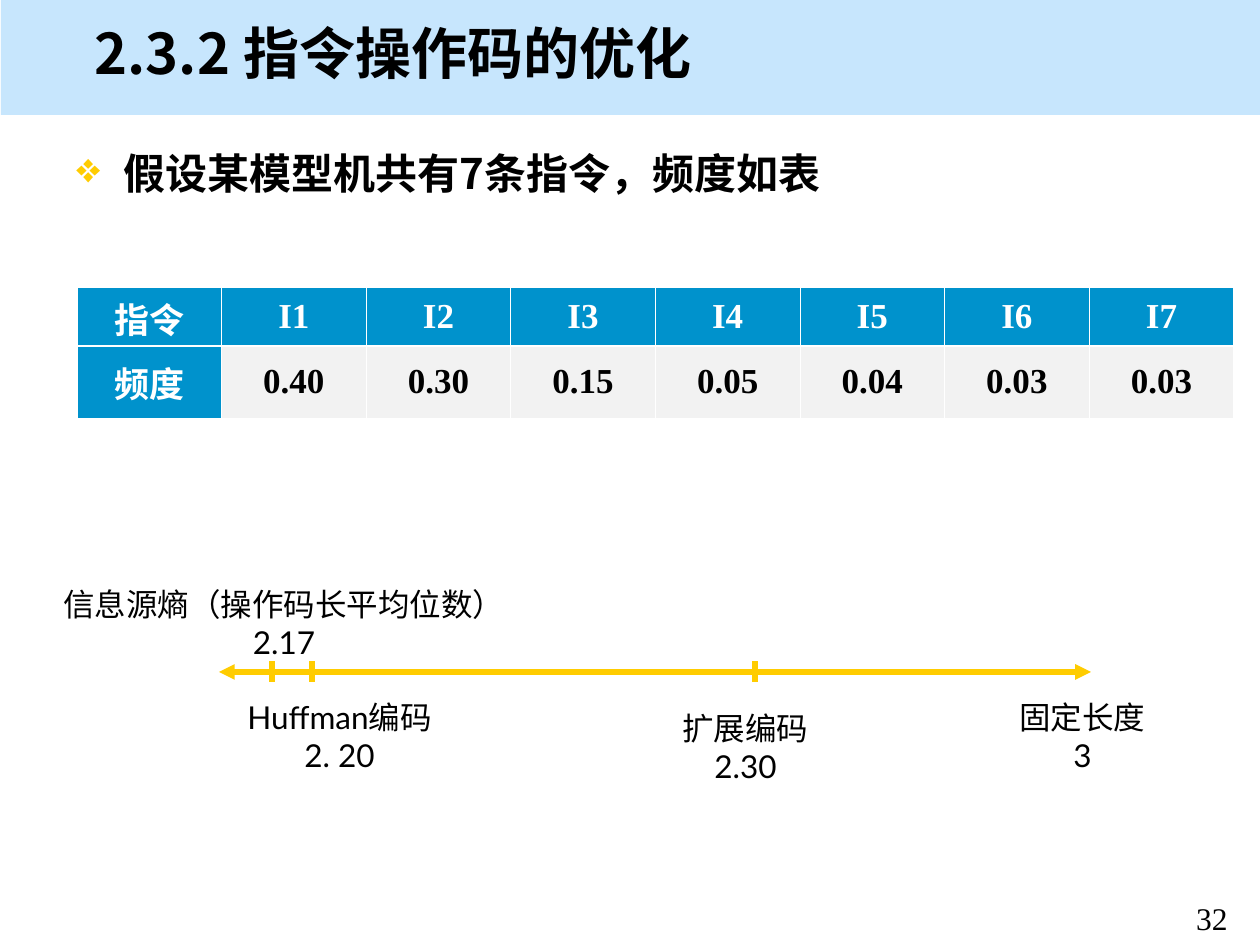
from lxml import etree
from pptx import Presentation, util as u
from pptx.dml.color import RGBColor
from pptx.enum import shapes, text
from pptx.oxml import ns

PX = 914400 / 126
HUES = {"band": "C7E6FD", "ink": "000000", "gold": "FFCC00",
        "blue": "0092CC", "grey": "F2F2F2", "white": "FFFFFF"}
SANS, SERIF, LATO = "Noto Sans CJK SC", "Times New Roman", "Lato"
MID, LEFT = text.PP_ALIGN.CENTER, text.PP_ALIGN.LEFT


def px(*nums):
    """Turn px lengths into EMU."""
    return [u.Emu(round(n * PX)) for n in nums]


def hue(name):
    """Look up a colour by name."""
    return RGBColor.from_string(HUES[name])


def node(up, tag, **atts):
    """Add a DrawingML child element."""
    return etree.SubElement(up, ns.qn("a:" + tag), atts)


def write(frame, lines, size, face, align=MID, bold=False, ink="ink"):
    """Fill a text frame with one formatted run per line."""
    form = {"size": u.Pt(size), "name": face, "bold": bold}
    for i, line in enumerate(lines):
        para = frame.add_paragraph() if i else frame.paragraphs[0]
        para.alignment = align
        run = para.add_run()
        run.text = line
        for key, val in form.items():
            setattr(run.font, key, val)
        run.font.color.rgb = hue(ink)
        node(run._r.get_or_add_rPr(), "ea", typeface=SANS)


def label(slide, box, lines, size, face, wrap=True, **form):
    """Add a text box and return its frame."""
    frame = slide.shapes.add_textbox(*px(*box)).text_frame
    frame.word_wrap = wrap
    write(frame, lines, size, face, **form)
    return frame


def stroke(slide, x1, y1, x2, y2, heads=False):
    """Draw a gold line, with an arrowhead at each end if asked."""
    line = slide.shapes.add_connector(
        shapes.MSO_CONNECTOR.STRAIGHT, *px(x1, y1, x2, y2))
    line.line.color.rgb = hue("gold")
    line.line.width = u.Pt(3)
    if heads:
        for tag in ("headEnd", "tailEnd"):
            node(line.line._ln, tag, type="triangle")
    node(line._element.spPr, "effectLst")


def header(slide, x, y, w, h):
    """Place the band and the title upon it."""
    band = slide.shapes.add_shape(
        shapes.MSO_SHAPE.RECTANGLE, *px(x, y, w, h))
    band.shadow.inherit = False
    band.fill.solid()
    band.fill.fore_color.rgb = hue("band")
    band.line.fill.background()
    slide.shapes._spTree.insert(2, band._element)
    title = slide.shapes.title
    spots = px(x + 81, y + 10, 1081, 84)
    for key, val in zip(("left", "top", "width", "height"), spots):
        setattr(title, key, val)
    frame = title.text_frame
    frame.auto_size = text.MSO_AUTO_SIZE.NONE
    frame.vertical_anchor = text.MSO_ANCHOR.MIDDLE
    write(frame, ["2.3.2 指令操作码的优化"], 32, SANS, LEFT, True)


def point(slide, *box):
    """Place the bulleted statement."""
    frame = label(slide, box, ["假设某模型机共有7条指令，频度如表"], 24, SANS,
                  align=LEFT, bold=True)
    props = frame.paragraphs[0]._p.get_or_add_pPr()
    dent = px(47)[0]
    props.set("marL", str(dent))
    props.set("indent", str(-dent))
    node(node(props, "buClr"), "srgbClr", val=HUES["gold"])
    node(props, "buChar", char="❖")


def edge(cell, thick):
    """Give a cell white borders, with one thick side."""
    props = cell._tc.get_or_add_tcPr()
    for i, side in enumerate(("lnL", "lnR", "lnT", "lnB")):
        wide = u.Pt(1.5 if side == thick else 0.5)
        line = node(props, side, w=str(wide))
        node(node(line, "solidFill"), "srgbClr", val=HUES["white"])
        props.insert(i, line)


def table(slide, x, y, w, rows):
    """Place the frequency table from (height, values) rows."""
    count = len(rows[0][1])
    high = sum(h for h, _ in rows)
    grid = slide.shapes.add_table(len(rows), count, *px(x, y, w, high)).table
    for r, (h, vals) in enumerate(rows):
        grid.rows[r].height = px(h)[0]
        for c, val in enumerate(vals):
            cell = grid.cell(r, c)
            head = r == 0 or c == 0
            cell.margin_left = cell.margin_right = px(9)[0]
            cell.margin_top = cell.margin_bottom = px(6)[0]
            cell.vertical_anchor = text.MSO_ANCHOR.MIDDLE
            cell.fill.solid()
            cell.fill.fore_color.rgb = hue("blue" if head else "grey")
            write(cell.text_frame, [val], 20, SERIF, bold=True,
                  ink="white" if head else "ink")
            edge(cell, "lnT" if r else "lnB")


def scale(slide, x, y, w):
    """Place the code length axis, its ticks and labels."""
    stroke(slide, x, y, x + w, y, heads=True)
    for dx in (53, 93, 536):
        stroke(slide, x + dx, y + 10, x + dx, y - 11)
    notes = [(-219, -93, 568, True, "信息源熵（操作码长平均位数）", "2.17"),
             (10, 20, 221, True, "Huffman编码", "2. 20"),
             (451, 31, 151, False, "扩展编码", "2.30"),
             (788, 20, 151, False, "固定长度", "3")]
    for dx, dy, wide, wrap, *lines in notes:
        label(slide, (x + dx, y + dy, wide, 88), lines, 18, LATO, wrap)


def main():
    """Build and save the slide."""
    deck = Presentation()
    deck.slide_width, deck.slide_height = px(1260, 945)
    slide = deck.slides.add_slide(deck.slide_layouts[5])
    header(slide, 1, 0, 1259, 115)
    point(slide, 64, 141, 1084, 74)
    table(slide, 77, 287, 1157, [
        (59, ["指令"] + [f"I{n}" for n in range(1, 8)]),
        (72, ["频度", "0.40", "0.30", "0.15", "0.05", "0.04", "0.03", "0.03"])])
    scale(slide, 219, 672, 872)
    label(slide, (1168, 893, 88, 42), ["32"], 18, SERIF)
    deck.save("out.pptx")


if __name__ == "__main__":
    main()
